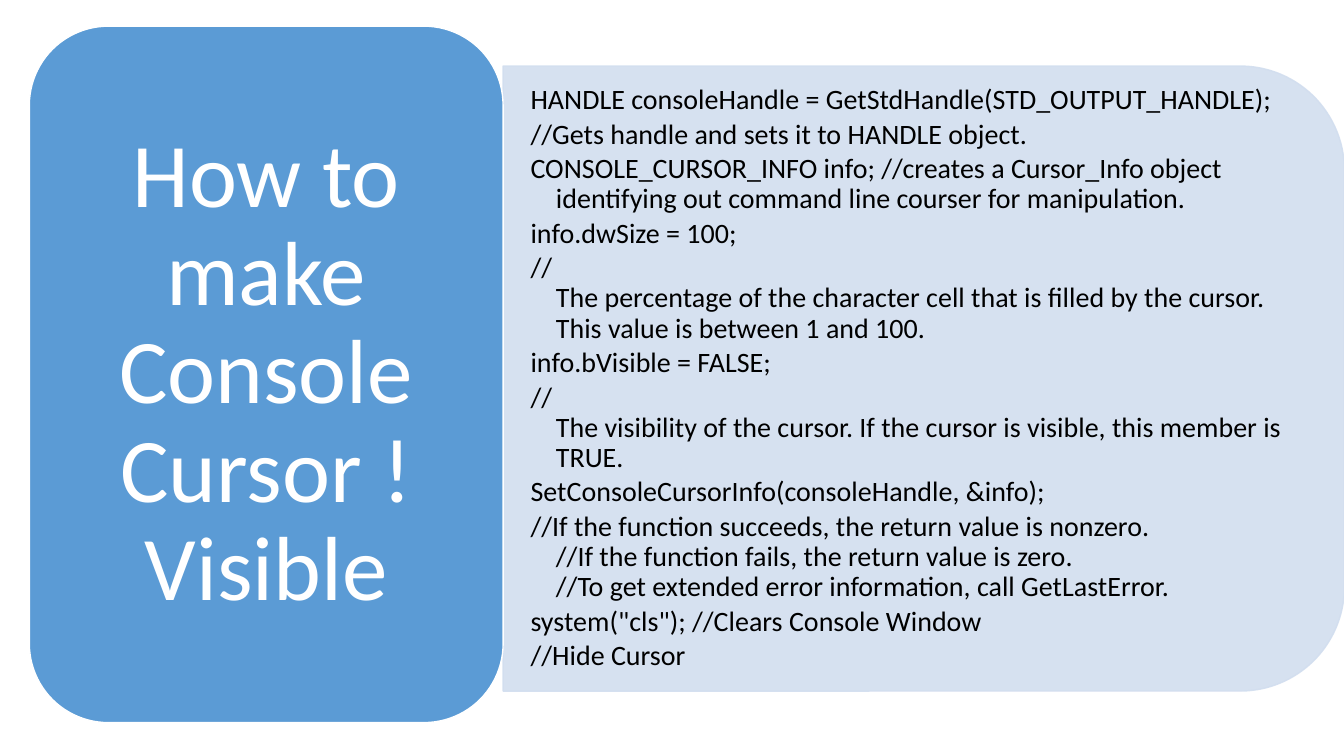
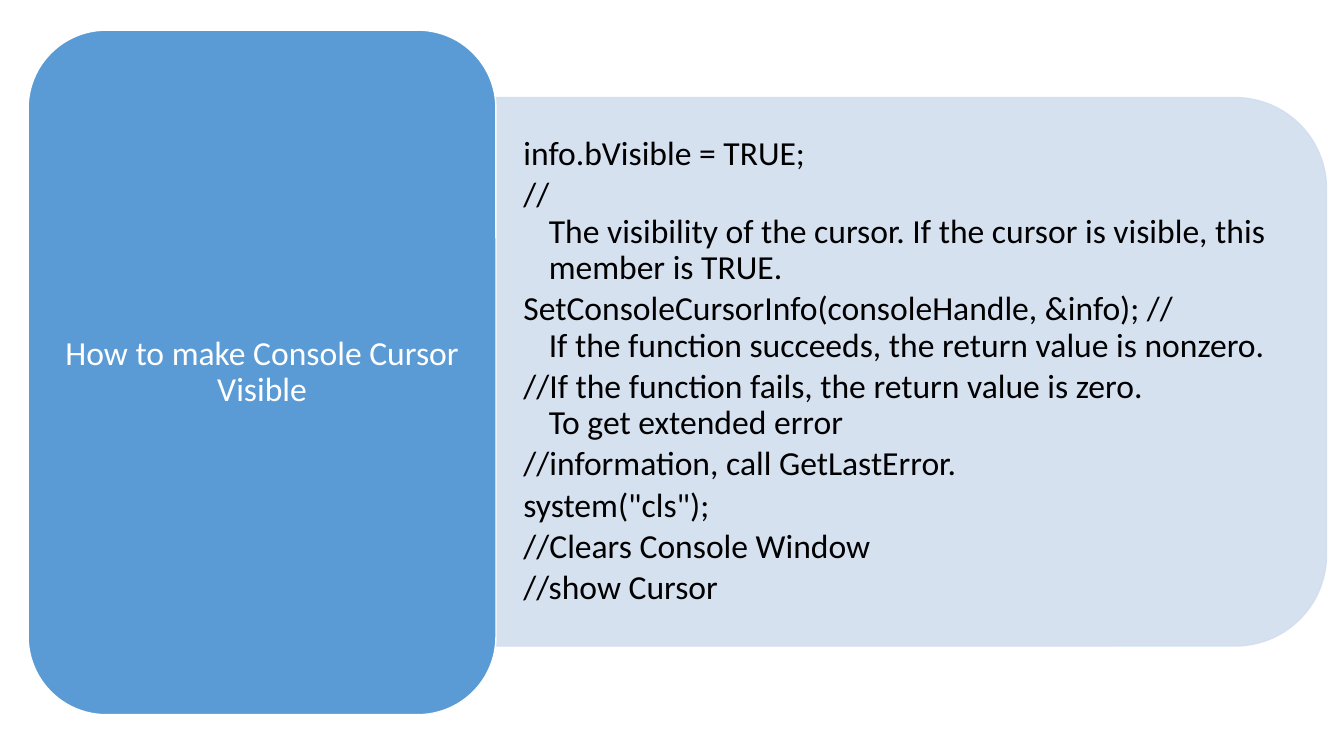
from lxml import etree
from pptx import Presentation
from pptx.dml.color import RGBColor
from pptx.enum.shapes import MSO_SHAPE
from pptx.enum.text import MSO_ANCHOR, MSO_AUTO_SIZE, PP_ALIGN
from pptx.oxml.ns import qn
from pptx.util import Cm, Pt

CARD = MSO_SHAPE.ROUNDED_RECTANGLE
PANEL = MSO_SHAPE.ROUND_2_SAME_RECTANGLE
MIDDLE = MSO_ANCHOR.MIDDLE
FIXED = MSO_AUTO_SIZE.NONE
LEFT, CENTER = PP_ALIGN.LEFT, PP_ALIGN.CENTER

BLUE, PALE, WHITE, BLACK = "5B9BD5", "D2DEEF", "FFFFFF", "000000"
CUT = 0.0488
WIDE = {"margin_left": Cm(0.69), "margin_right": Cm(0.69),
        "margin_top": Cm(0.36), "margin_bottom": Cm(0.36)}
SLIM = {"margin_left": Cm(0.23), "margin_right": Cm(0.23),
        "margin_top": Cm(0.12), "margin_bottom": Cm(0.12)}
FRAME = {"word_wrap": True, "auto_size": FIXED, "vertical_anchor": MIDDLE}

pages = [
    {
        "title": "How to make Console Cursor !Visible",
        "size": 65, "inset": WIDE,
        "card": (0.74, 0.66, 11.94, 17.55),
        "panel": (21.2, 15.75), "mid": 9.54, "code": 20,
        "lines": [
            "HANDLE consoleHandle = GetStdHandle(STD_OUTPUT_HANDLE);",
            "//Gets handle and sets it to HANDLE object.",
            "CONSOLE_CURSOR_INFO info; //creates a Cursor_Info object "
            "identifying out command line courser for manipulation.",
            "info.dwSize = 100;",
            "//\vThe percentage of the character cell that is filled by the "
            "cursor. This value is between 1 and 100.",
            "info.bVisible = FALSE;",
            "//\vThe visibility of the cursor. If the cursor is visible, "
            "this member is TRUE.",
            "SetConsoleCursorInfo(consoleHandle, &info);",
            "//If the function succeeds, the return value is nonzero.\v"
            "//If the function fails, the return value is zero.\v"
            "//To get extended error information, call GetLastError.",
            'system("cls"); //Clears Console Window',
            "//Hide Cursor",
        ],
    },
    {
        "title": "How to make Console Cursor Visible",
        "size": 24, "inset": SLIM,
        "card": (0.71, 0.76, 11.79, 17.25),
        "panel": (20.93, 13.82), "mid": 9.37, "code": 24,
        "lines": [
            "info.bVisible = TRUE;",
            "//\vThe visibility of the cursor. If the cursor is visible, "
            "this member is TRUE.",
            "SetConsoleCursorInfo(consoleHandle, &info); //\v"
            "If the function succeeds, the return value is nonzero.",
            "//If the function fails, the return value is zero.\v"
            "To get extended error",
            "//information, call GetLastError.",
            'system("cls");',
            "//Clears Console Window",
            "//show Cursor",
        ],
    },
]


def paint(shape, fill, line):
    shape.shadow.inherit = False
    shape.fill.solid()
    shape.fill.fore_color.rgb = RGBColor.from_string(fill)
    shape.line.color.rgb = RGBColor.from_string(line)
    shape.line.width = Pt(1)


def write(holder, box, lines, size, color, align, gap, inset):
    places = ("left", "top", "width", "height")
    for name, value in zip(places, box):
        setattr(holder, name, Cm(value))
    frame = holder.text_frame
    for name, value in {**FRAME, **inset}.items():
        setattr(frame, name, value)
    style = {"alignment": align, "line_spacing": 0.9,
             "space_before": Pt(0), "space_after": Pt(size * gap)}
    for i, line in enumerate(lines):
        para = frame.add_paragraph() if i else frame.paragraphs[0]
        para.text = line
        for name, value in style.items():
            setattr(para, name, value)
        for run in para.runs:
            run.font.name = "Calibri"
            run.font.size = Pt(size)
            run.font.color.rgb = RGBColor.from_string(color)


deck = Presentation()
deck.slide_width, deck.slide_height = Cm(33.87), Cm(19.05)

for page in pages:
    slide = deck.slides.add_slide(deck.slide_layouts[1])
    title, body = slide.placeholders
    left, top, width, height = page["card"]
    long, tall = page["panel"]
    mid, edge = page["mid"], left + width

    card = slide.shapes.add_shape(CARD, *map(Cm, page["card"]))
    paint(card, BLUE, WHITE)

    panel = slide.shapes.add_shape(
        PANEL, Cm(edge + (long - tall) / 2), Cm(mid - long / 2),
        Cm(tall), Cm(long))
    panel.rotation = 90
    paint(panel, PALE, PALE)
    for tint in panel.element.spPr.iter(qn("a:srgbClr")):
        etree.SubElement(tint, qn("a:alpha")).set("val", "90000")

    for shape in (card, panel):
        slide.shapes.element.insert(2, shape.element)

    pad = width * CUT
    box = (left + pad, top + pad, width - 2 * pad, height - 2 * pad)
    write(title, box, [page["title"]], page["size"], WHITE, CENTER, 0.35,
          page["inset"])

    pad = tall * CUT
    box = (edge, mid - tall / 2 + pad, long - pad, tall - 2 * pad)
    write(body, box, page["lines"], page["code"], BLACK, LEFT, 0.15, WIDE)
    for para in body.text_frame.paragraphs:
        props = para._p.get_or_add_pPr()
        props.set("marL", str(Cm(0.64)))
        props.set("indent", str(Cm(-0.64)))
        etree.SubElement(props, qn("a:buNone"))

deck.save("out.pptx")
